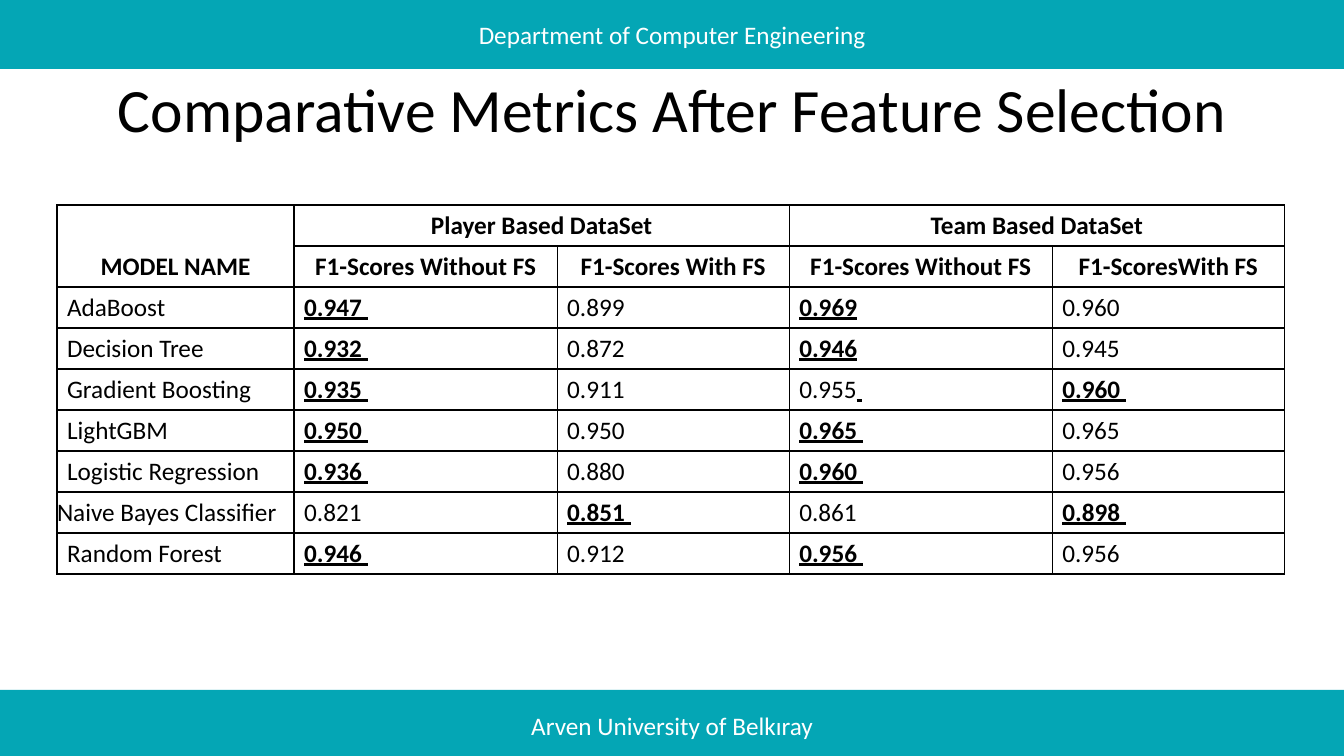
from lxml.etree import SubElement
from pptx import Presentation
from pptx.dml.color import RGBColor
from pptx.enum.shapes import MSO_SHAPE
from pptx.enum.text import MSO_ANCHOR, PP_ALIGN
from pptx.oxml.ns import qn
from pptx.util import Inches, Pt

TITLE = "Comparative Metrics After Feature Selection"
BANNERS = [  # text, top
    ("Department of Computer Engineering", -1),
    ("Arven University of Belkıray", 690),
]
MODEL_HEADING = "MODEL NAME"
DATASETS = [
    ("Player Based DataSet", ("F1-Scores Without FS", "F1-Scores With FS")),
    ("Team Based DataSet", ("F1-Scores Without FS", "F1-ScoresWith FS")),
]
# Model, then (without, with) feature selection per dataset.
# A trailing space is drawn underlined.
MODELS = [
    ("AdaBoost", ("0.947 ", "0.899"), ("0.969", "0.960")),
    ("Decision Tree", ("0.932 ", "0.872"), ("0.946", "0.945")),
    ("Gradient Boosting", ("0.935 ", "0.911"), ("0.955 ", "0.960 ")),
    ("LightGBM", ("0.950 ", "0.950"), ("0.965 ", "0.965")),
    ("Logistic Regression", ("0.936 ", "0.880"), ("0.960 ", "0.956")),
    ("Naive Bayes Classifier", ("0.821", "0.851 "), ("0.861", "0.898 ")),
    ("Random Forest", ("0.946 ", "0.912"), ("0.956 ", "0.956")),
]
FLUSH_LEFT_MODEL = "Naive Bayes Classifier"

FONT = "Calibri"
TEAL, BLACK, WHITE = "04A6B5", "000000", "FFFFFF"
TABLE_LEFT, TABLE_TOP, ROW_HEIGHT = 57, 205, 41
COLUMN_WIDTHS = [237, 263, 232, 263, 232]
HEADER_ROWS = 2


def px(length):
    return round(length * 914400 / 100.8)


def color(hex_string):
    return RGBColor.from_string(hex_string)


def style(paragraph, size, hex_string, align=PP_ALIGN.CENTER, bold=False):
    paragraph.alignment = align
    font = paragraph.font
    font.name, font.size, font.bold = FONT, Pt(size), bold
    font.color.rgb = color(hex_string)


def add_borders(cell):
    properties = cell._tc.get_or_add_tcPr()
    for position, side in enumerate(("lnL", "lnR", "lnT", "lnB")):
        line = SubElement(properties, qn(f"a:{side}"), w=str(Pt(1)))
        fill = SubElement(line, qn("a:solidFill"))
        SubElement(fill, qn("a:srgbClr"), val=BLACK)
        properties.insert(position, line)


def add_heading(cell, heading):
    cell.text = heading
    style(cell.text_frame.paragraphs[0], 18, BLACK, bold=True)


def add_score(cell, score, best):
    paragraph = cell.text_frame.paragraphs[0]
    style(paragraph, 18, BLACK, PP_ALIGN.LEFT)
    digits = score.rstrip()
    number = paragraph.add_run()
    number.text = digits
    number.font.bold = number.font.underline = best
    if score != digits:
        tail = paragraph.add_run()
        tail.text = " "
        tail.font.underline = True


def add_title(slide):
    box = slide.shapes.add_textbox(px(93), px(40), px(1159), px(146))
    frame = box.text_frame
    frame.word_wrap = True
    frame.vertical_anchor = MSO_ANCHOR.MIDDLE
    frame.text = TITLE
    style(frame.paragraphs[0], 44, BLACK)
    frame.paragraphs[0].line_spacing = 0.9


def add_metrics(slide):
    row_count = HEADER_ROWS + len(MODELS)
    table = slide.shapes.add_table(
        row_count, len(COLUMN_WIDTHS), px(TABLE_LEFT), px(TABLE_TOP),
        px(sum(COLUMN_WIDTHS)), px(ROW_HEIGHT * row_count)).table
    table.first_row = table.horz_banding = False
    for column, width in zip(table.columns, COLUMN_WIDTHS):
        column.width = px(width)
    for row in table.rows:
        row.height = px(ROW_HEIGHT)
    for cell in table.iter_cells():
        cell.fill.background()
        add_borders(cell)

    corner = table.cell(0, 0)
    corner.merge(table.cell(1, 0))
    corner.vertical_anchor = MSO_ANCHOR.BOTTOM
    add_heading(corner, MODEL_HEADING)
    for group, (dataset, measures) in enumerate(DATASETS):
        first = 1 + 2 * group
        table.cell(0, first).merge(table.cell(0, first + 1))
        add_heading(table.cell(0, first), dataset)
        for offset, measure in enumerate(measures):
            add_heading(table.cell(1, first + offset), measure)

    for row, (model, *pairs) in enumerate(MODELS, HEADER_ROWS):
        name = table.cell(row, 0)
        name.text = model
        style(name.text_frame.paragraphs[0], 18, BLACK, PP_ALIGN.LEFT)
        if model == FLUSH_LEFT_MODEL:
            name.margin_left = name.margin_right = 0
            name.margin_top = name.margin_bottom = 0
            name.vertical_anchor = MSO_ANCHOR.MIDDLE
        for group, pair in enumerate(pairs):
            best = pair.index(max(pair, key=float))
            for offset, score in enumerate(pair):
                cell = table.cell(row, 1 + 2 * group + offset)
                add_score(cell, score, offset == best)


def add_banner(slide, label, top):
    banner = slide.shapes.add_shape(
        MSO_SHAPE.RECTANGLE, px(-1), px(top), px(1346), px(70))
    banner.shadow.inherit = False
    banner.fill.solid()
    banner.fill.fore_color.rgb = color(TEAL)
    banner.line.fill.background()
    banner.text_frame.vertical_anchor = MSO_ANCHOR.MIDDLE
    banner.text_frame.text = label
    style(banner.text_frame.paragraphs[0], 18, WHITE)


def main():
    presentation = Presentation()
    presentation.slide_width = Inches(13.33)
    presentation.slide_height = Inches(7.5)
    slide = presentation.slides.add_slide(presentation.slide_layouts[6])
    add_title(slide)
    add_metrics(slide)
    for label, top in BANNERS:
        add_banner(slide, label, top)
    presentation.save("out.pptx")


if __name__ == "__main__":
    main()
